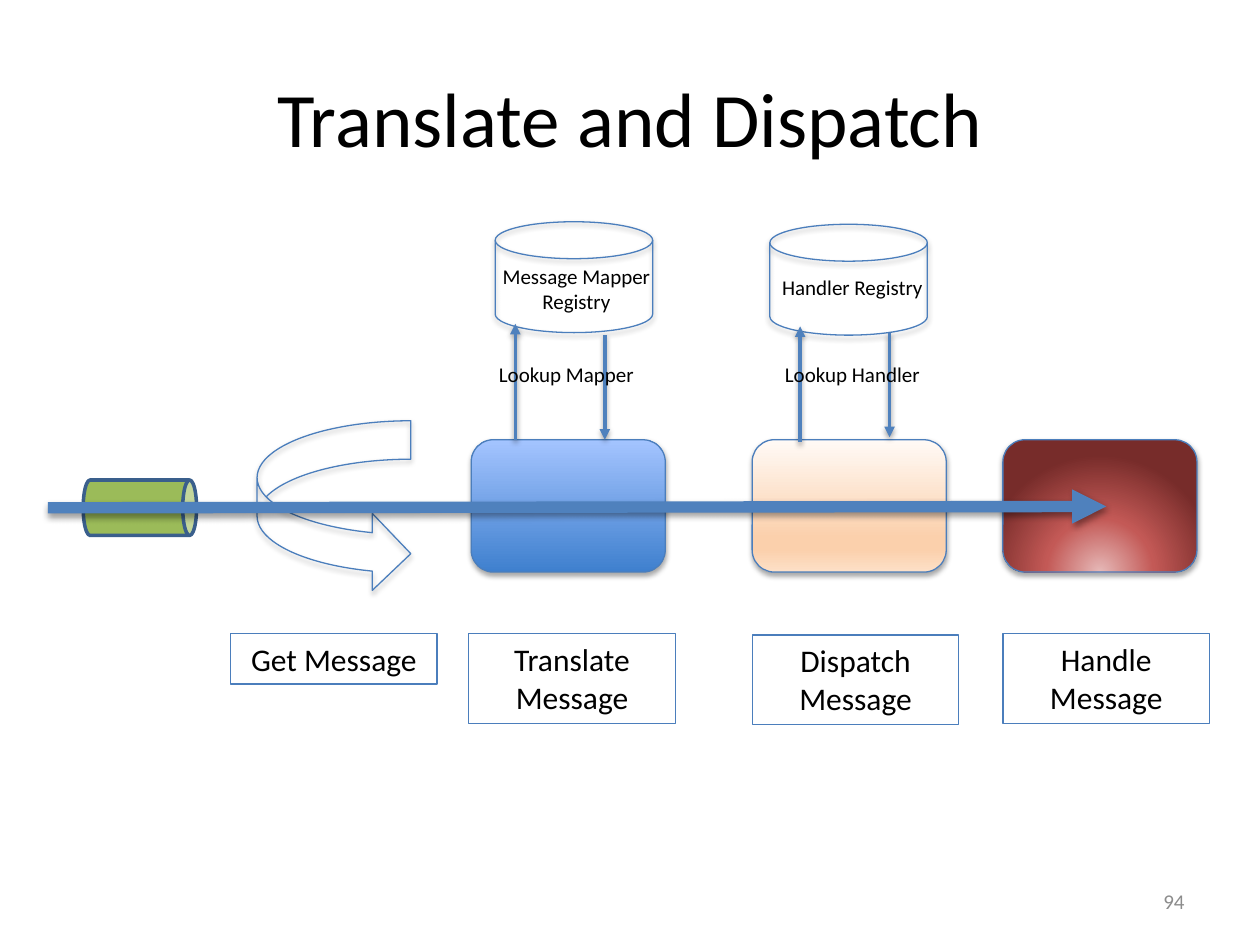
"""Build the Translate and Dispatch message flow slide."""
from pptx import Presentation
from pptx.dml.color import RGBColor
from pptx.enum.shapes import MSO_CONNECTOR, MSO_SHAPE
from pptx.enum.text import MSO_ANCHOR, PP_ALIGN
from pptx.oxml import parse_xml
from pptx.oxml.ns import nsdecls
from pptx.util import Inches, Pt

ARROW, CAN = MSO_SHAPE.CURVED_RIGHT_ARROW, MSO_SHAPE.CAN
ROUND, RECT = MSO_SHAPE.ROUNDED_RECTANGLE, MSO_SHAPE.RECTANGLE
DISK = MSO_SHAPE.FLOWCHART_MAGNETIC_DISK
STRAIGHT = MSO_CONNECTOR.STRAIGHT
TOP, MIDDLE = MSO_ANCHOR.TOP, MSO_ANCHOR.MIDDLE
CENTER, RIGHT = PP_ALIGN.CENTER, PP_ALIGN.RIGHT
NS = nsdecls("a")
EDGE, BLUE = "4B7EBC", "4F81BD"

rgb = RGBColor.from_string


def write(shape, text, size=12, color="000000", align=CENTER, anchor=TOP):
    frame = shape.text_frame
    frame.word_wrap = True
    frame.vertical_anchor = anchor
    para = frame.paragraphs[0]
    para.text = text
    para.alignment = align
    para.font.size = Pt(size)
    para.font.name = "Calibri"
    para.font.color.rgb = rgb(color)


def style(shape, line, width, alpha=0, dist=1.8):
    shape.line.color.rgb = rgb(line)
    shape.line.width = Pt(width)
    shade = (
        f'<a:outerShdw blurRad="{Pt(3.1)}" dist="{Pt(dist)}" dir="5400000" rotWithShape="0">'
        f'<a:srgbClr val="000000"><a:alpha val="{alpha * 1000}"/></a:srgbClr></a:outerShdw>'
    ) if alpha else ""
    shape._element.spPr.append(parse_xml(f"<a:effectLst {NS}>{shade}</a:effectLst>"))


prs = Presentation()
prs.slide_width, prs.slide_height = Inches(10), Inches(7.5)
slide = prs.slides.add_slide(prs.slide_layouts[5])
shapes = slide.shapes

title = shapes.title
title.left, title.top = Inches(0.5), Inches(0.3)
title.width, title.height = Inches(9), Inches(1.25)
write(title, "Translate and Dispatch", size=44, anchor=MIDDLE)

page = shapes.add_textbox(Inches(7.17), Inches(6.95), Inches(2.33), Inches(0.4))
write(page, "94", color="8C8C8C", align=RIGHT, anchor=MIDDLE)

loop = shapes.add_shape(ARROW, Inches(2.04), Inches(3.34), Inches(1.22), Inches(1.36))
loop.fill.background()
style(loop, EDGE, 0.75, alpha=35)

queue = shapes.add_shape(CAN, Inches(0.89), Inches(3.58), Inches(0.44), Inches(0.9))
queue.rotation = 90
queue.fill.solid()
queue.fill.fore_color.rgb = rgb("9BBB59")
style(queue, "3A5F8C", 2)

stages = [
    (3.74, [(0, "3F80CE"), (100, "A4C4FF")], '<a:lin ang="16200000" scaled="0"/>'),
    (5.97, [(0, "FFFAF6"), (74, "FBD0AC"), (83, "FBD0AC"), (100, "FDE0C7")],
     '<a:lin ang="5400000" scaled="0"/>'),
    (7.96, [(0, "E6B9B8"), (46, "C35956"), (100, "772C2A")],
     '<a:path path="circle"><a:fillToRect l="50000" t="130000" r="50000" b="-30000"/></a:path>'),
]
for left, stops, course in stages:
    stage = shapes.add_shape(ROUND, Inches(left), Inches(3.49), Inches(1.54), Inches(1.05))
    style(stage, EDGE, 0.75, alpha=35)
    marks = "".join(
        f'<a:gs pos="{pos * 1000}"><a:srgbClr val="{color}"/></a:gs>' for pos, color in stops
    )
    stage._element.spPr.insert(2, parse_xml(
        f'<a:gradFill {NS} rotWithShape="1"><a:gsLst>{marks}</a:gsLst>{course}</a:gradFill>'
    ))

for left, top in [(3.93, 1.76), (6.11, 1.78)]:
    store = shapes.add_shape(DISK, Inches(left), Inches(top), Inches(1.25), Inches(0.88))
    store.fill.background()
    style(store, EDGE, 0.75, alpha=35)

steps = [
    ("Get Message", 1.83, 5.03, 0.4),
    ("Translate Message", 3.72, 5.03, 0.71),
    ("Dispatch Message", 5.97, 5.04, 0.71),
    ("Handle Message", 7.96, 5.03, 0.71),
]
for text, left, top, height in steps:
    step = shapes.add_shape(RECT, Inches(left), Inches(top), Inches(1.64), Inches(height))
    step.fill.background()
    style(step, EDGE, 0.75)
    write(step, text, size=18)

labels = [
    ("Message Mapper Registry", 3.78, 2.04, 0.5),
    ("Handler Registry", 5.97, 2.13, 0.3),
    ("Lookup Mapper", 3.7, 2.82, 0.3),
    ("Lookup Handler", 5.97, 2.82, 0.3),
]
flows = [
    (4.09, 3.49, 4.09, 2.57, 2),
    (6.35, 3.51, 6.35, 2.59, 2),
    (4.8, 2.66, 4.8, 3.49, 2),
    (7.06, 2.64, 7.06, 3.47, 2),
    (0.38, 4.03, 8.78, 4.02, 6.5),
]
for *ends, width in flows:
    flow = shapes.add_connector(STRAIGHT, *map(Inches, ends))
    style(flow, BLUE, width, alpha=38, dist=1.6)
    flow.line._get_or_add_ln().append(parse_xml(f'<a:tailEnd {NS} type="triangle"/>'))

for text, left, top, height in labels:
    label = shapes.add_textbox(Inches(left), Inches(top), Inches(1.59), Inches(height))
    write(label, text)

prs.save("out.pptx")
